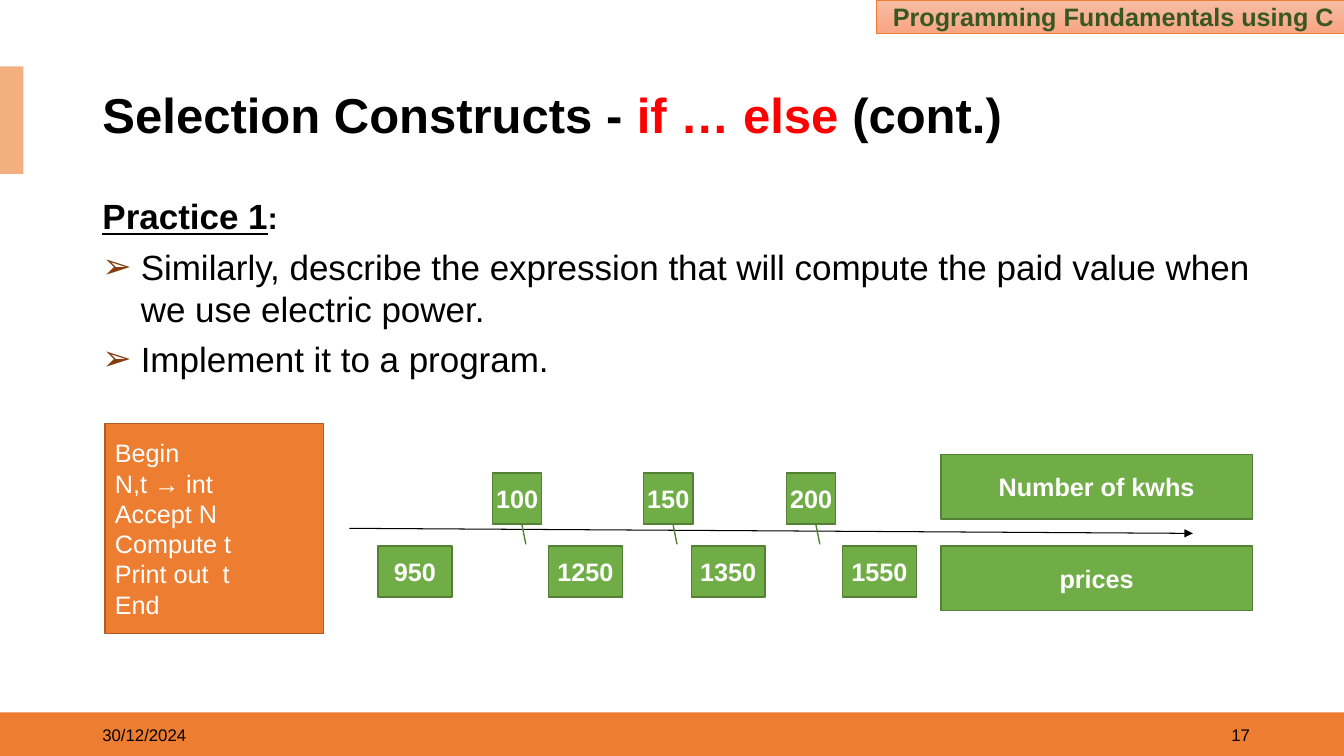
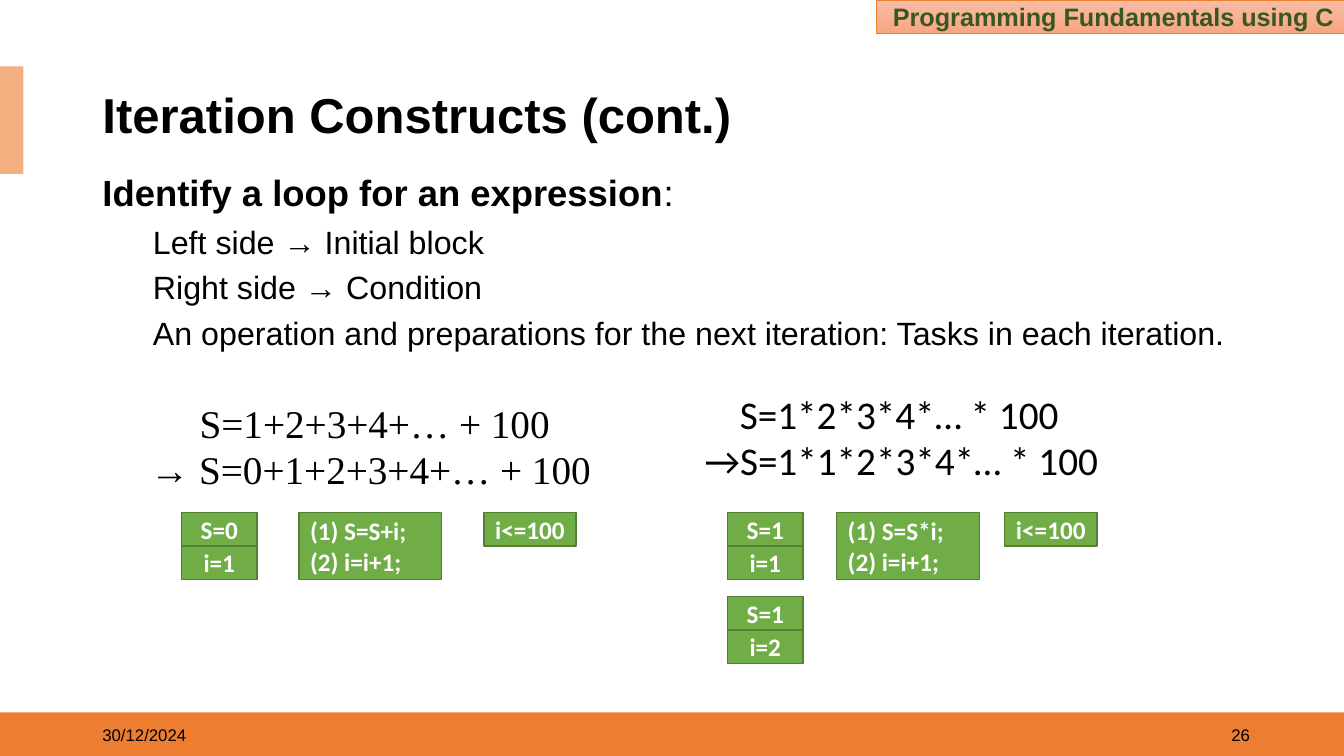
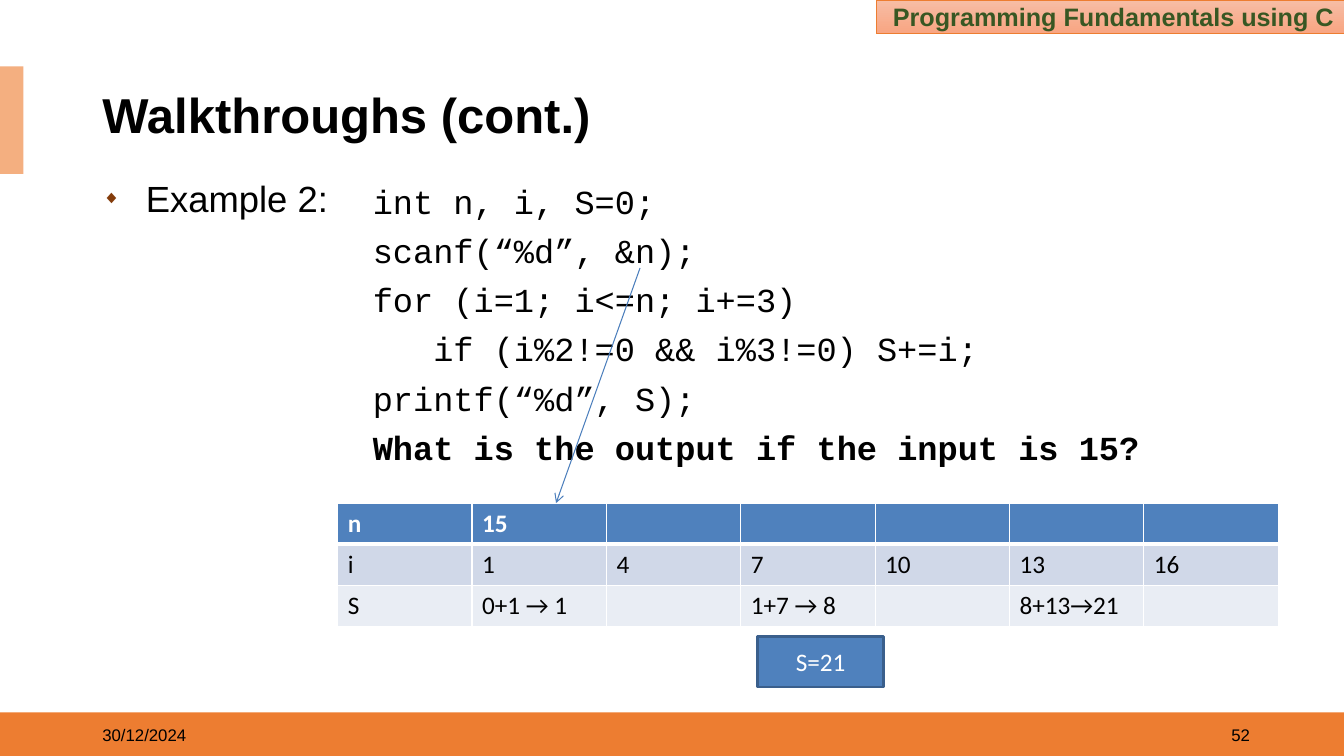
import pptx
import pptx.util
import pptx.dml.color
import pptx.enum.shapes
import pptx.enum.text
import pptx.oxml
import pptx.oxml.ns
from dataclasses import dataclass
from lxml import etree


@dataclass(frozen=True)
class Theme:
    black: str = "000000"
    white: str = "FFFFFF"
    red: str = "FF0000"
    orange: str = "ED7D31"
    rust: str = "AF5C24"
    peach: str = "F4AF80"
    glow: tuple = ("F7BDA5", "F8A582")
    brown: str = "843C0B"
    green: str = "70AD47"
    moss: str = "538035"
    pine: str = "385723"
    blue: str = "4F81BD"
    navy: str = "3A5F8C"
    wire: str = "4B7EBC"
    pale: str = "D0D8E8"
    mist: str = "E9EDF4"
    sans: str = "Arial"
    soft: str = "Calibri"
    mono: str = "Courier New"
    serif: str = "Times New Roman"
    title: int = 35
    head: int = 26
    body: int = 25
    sub: int = 23
    math: int = 28
    code: int = 24
    label: int = 18
    foot: int = 12


T = Theme()
COLS, ROWS = 160, 90
WIDE, HIGH = pptx.util.Inches(13.33), pptx.util.Inches(7.5)
ALIGN = pptx.enum.text.PP_ALIGN
MID = pptx.enum.text.MSO_ANCHOR.MIDDLE
RECT = pptx.enum.shapes.MSO_SHAPE.RECTANGLE

COURSE = "Programming Fundamentals using C"
DATE = "30/12/2024"

POWER = {
    "page": "17",
    "title": [("Selection Constructs - ", {}), ("if … else", {"color": T.red}), (" (cont.)", {})],
    "head": [("Practice 1", {"under": True}), (":", {"size": 22})],
    "list": [
        "Similarly, describe the expression that will compute the paid value when we use electric power.",
        "Implement it to a program.",
    ],
    "steps": ["Begin", "N,t → int", "Accept N", "Compute t", "Print out  t", "End"],
    "limits": [("100", 58.6), ("150", 76.6), ("200", 93.6)],
    "prices": [("950", 45), ("1250", 65.3), ("1350", 82.3), ("1550", 100.3)],
    "labels": [("Number of kwhs", 54.1), ("prices", 65)],
}

LOOPS = {
    "page": "26",
    "title": "Iteration Constructs (cont.)",
    "head": [("Identify a loop for an expression", {"bold": True}), (":", {})],
    "list": [
        "Left side → Initial block",
        "Right side → Condition",
        "An operation and preparations for the next iteration: Tasks in each iteration.",
    ],
    "sums": [
        {"at": (16.7, 48, 56, 12), "font": T.serif, "left": 0.49,
         "math": ("S=1+2+3+4+… + 100", "→ S=0+1+2+3+4+… + 100"),
         "cols": (21.6, 35.6, 57.6), "init": [("S=0", "i=1")],
         "tasks": ["(1) S=S+i;", "(2) i=i+1;"], "test": "i<=100"},
        {"at": (82.7, 47, 50, 12), "font": T.soft, "left": 0.35,
         "math": ("S=1*2*3*4*… * 100", "→S=1*1*2*3*4*… * 100"),
         "cols": (86.6, 99.6, 119.6), "init": [("S=1", "i=1"), ("S=1", "i=2")],
         "tasks": ["(1) S=S*i;", "(2) i=i+1;"], "test": "i<=100"},
    ],
}

TRACE = {
    "page": "52",
    "title": "Walkthroughs (cont.)",
    "head": "Example 2:",
    "code": [
        (0, "int n, i, S=0;"),
        (0, "scanf(“%d”, &n);"),
        (0, "for (i=1; i<=n; i+=3)"),
        (3, "if (i%2!=0 && i%3!=0) S+=i;"),
        (0, "printf(“%d”, S);"),
    ],
    "ask": "What is the output if the input is 15?",
    "rows": [
        ["n", "15", "", "", "", "", ""],
        ["i", "1", "4", "7", "10", "13", "16"],
        ["S", "0+1 → 1", "", "1+7 → 8", "", "8+13→21", ""],
    ],
    "sum": "S=21",
}


def rgb(code):
    return pptx.dml.color.RGBColor.from_string(code)


def grid(*at):
    return [int(n * (HIGH / ROWS if k % 2 else WIDE / COLS)) for k, n in enumerate(at)]


def add(node, tag, **keys):
    kid = etree.SubElement(node, pptx.oxml.ns.qn(tag))
    for key, val in keys.items():
        kid.set(key, str(val))
    return kid


def say(frame, lines, more=False, size=T.label, font=T.sans, color=T.black, bold=False,
        under=False, align=ALIGN.LEFT, space=1.0, before=0, left=0, hang=0, level=0,
        mark=None, scale=100):
    for k, line in enumerate(lines):
        para = frame.add_paragraph() if more or k else frame.paragraphs[0]
        para.alignment, para.level = align, level
        para.line_spacing, para.space_before = space, pptx.util.Pt(before)
        props = para._p.get_or_add_pPr()
        props.set("marL", str(pptx.util.Inches(left)))
        props.set("indent", str(pptx.util.Inches(-hang)))
        if mark:
            add(add(props, "a:buClr"), "a:srgbClr", val=T.brown)
            add(props, "a:buSzPct", val=scale * 1000)
            add(props, "a:buChar", char=mark)
        else:
            add(props, "a:buNone")
        base = {"size": size, "color": color, "bold": bold, "under": under}
        for text, diff in [(line, {})] if isinstance(line, str) else line:
            form = {**base, **diff}
            run = para.add_run()
            run.text = text
            run.font.name, run.font.size = font, pptx.util.Pt(form["size"])
            run.font.bold, run.font.underline = form["bold"], form["under"]
            run.font.color.rgb = rgb(form["color"])


def note(slide, at, lines, anchor=None, **form):
    frame = slide.shapes.add_textbox(*grid(*at)).text_frame
    frame.word_wrap = True
    if anchor:
        frame.vertical_anchor = anchor
    say(frame, lines, **form)
    return frame


def box(slide, at, lines=(), fill=T.green, edge=T.moss, width=1, tight=False, **form):
    shape = slide.shapes.add_shape(RECT, *grid(*at))
    shape.shadow.inherit = False
    shape.fill.solid()
    shape.fill.fore_color.rgb = rgb(fill)
    if edge:
        shape.line.color.rgb = rgb(edge)
        shape.line.width = pptx.util.Pt(width)
    else:
        shape.line.fill.background()
    frame = shape.text_frame
    frame.word_wrap, frame.vertical_anchor = not tight, MID
    if tight:
        frame.margin_left = frame.margin_right = pptx.util.Inches(0.11)
        frame.margin_top = frame.margin_bottom = pptx.util.Inches(0.06)
    say(frame, lines, **{"color": T.white, "align": ALIGN.CENTER, **form})
    return shape


def tag(slide, at, *lines, **form):
    return box(slide, at, lines, tight=True, bold=True, **form)


def link(slide, ends, color, width=0.75, tip=None):
    kind = pptx.enum.shapes.MSO_CONNECTOR.STRAIGHT
    wire = slide.shapes.add_connector(kind, *grid(*ends))
    wire.line.color.rgb = rgb(color)
    wire.line.width = pptx.util.Pt(width)
    props = wire.element.spPr
    if tip:
        add(props.find(pptx.oxml.ns.qn("a:ln")), "a:tailEnd", type=tip)
    add(props, "a:effectLst")


def place(shape, at):
    shape.left, shape.top, shape.width, shape.height = grid(*at)


def dress(slide, layout):
    bar = box(slide, (104.3, 0, 55.7, 4), [COURSE], edge=T.orange, width=0.5,
              color=T.pine, bold=True, align=ALIGN.RIGHT)
    bar.fill.gradient()
    bar.fill.gradient_angle = 270
    for stop, code in zip(bar.fill.gradient_stops, T.glow):
        stop.color.rgb = rgb(code)
    band = box(slide, (0, 84.8, COLS, 5.2), fill=T.orange, edge=None)
    side = box(slide, (0, 7.9, 2.8, 12.8), fill=T.peach, edge=None)
    for part in (bar, side, band):
        layout.shapes._spTree.insert(2, part.element)
    place(layout.placeholders[0], (11, 10.2, 138, 7.6))


def start(deck, data, at):
    layout = deck.slide_layouts[1]
    slide = deck.slides.add_slide(layout)
    if len(deck.slides) == 1:
        dress(slide, layout)
    title, body = slide.shapes.title, slide.placeholders[1]
    place(body, at)
    for hold in (title, body):
        hold.text_frame.auto_size = pptx.enum.text.MSO_AUTO_SIZE.NONE
        hold.text_frame.word_wrap = True
    title.text_frame.vertical_anchor = MID
    say(title.text_frame, [data["title"]], size=T.title, bold=True, space=0.9)
    for x, text, align in ((114, data["page"], ALIGN.RIGHT), (11, DATE, ALIGN.LEFT)):
        note(slide, (x, 85.1, 36, 4.8), [text], anchor=MID, size=T.foot, align=align)
    return slide, body.text_frame


def power(deck, data):
    slide, body = start(deck, data, (11, 22.6, 139, 23.4))
    say(body, [data["head"]], size=T.body, bold=True, before=6)
    say(body, data["list"], more=True, size=T.body, before=6, left=0.38, hang=0.38, mark="➢")
    box(slide, (12.5, 50.4, 26, 25), data["steps"], fill=T.orange, edge=T.rust, align=ALIGN.LEFT)
    link(slide, (41.6, 62.9, 142, 63.5), T.black, tip="triangle")
    for text, x in data["limits"]:
        link(slide, (x + 3.4, 61.8, x + 4, 64.8), T.moss, width=1)
        tag(slide, (x, 56.3, 5.9, 6.1), text)
    for text, x in data["prices"]:
        tag(slide, (x, 65, 8.8, 6.1), text)
    for text, y in data["labels"]:
        tag(slide, (112, y, 37.1, 7.7), text)


def loops(deck, data):
    slide, body = start(deck, data, (11, 20.3, 138, 65.6))
    say(body, [data["head"]], size=T.head, align=ALIGN.JUSTIFY, space=0.9, before=10,
        left=0.43, hang=0.43)
    say(body, data["list"], more=True, size=T.sub, align=ALIGN.JUSTIFY, before=5,
        left=0.75, hang=0.25, level=1)
    for loop in data["sums"]:
        form = {"size": T.math, "font": loop["font"], "space": 0.8, "before": 6}
        first, second = loop["math"]
        frame = note(slide, loop["at"], [first], left=loop["left"], **form)
        say(frame, [second], more=True, left=0.38, hang=0.38, **form)
        init, tasks, test = loop["cols"]
        for k, pair in enumerate(loop["init"]):
            for j, text in enumerate(pair):
                tag(slide, (init, 61 + 10 * k + 4 * j, 9, 4), text, font=T.soft)
        tag(slide, (tasks, 61, 17, 8), *loop["tasks"], font=T.soft, align=ALIGN.LEFT)
        tag(slide, (test, 61, 11, 4), loop["test"], font=T.soft)


def rule(cell, row):
    props = cell._tc.get_or_add_tcPr()
    thick = {"a:lnT": row == 1, "a:lnB": row == 0}
    for side in ("a:lnL", "a:lnR", "a:lnT", "a:lnB"):
        line = add(props, side, w=pptx.util.Pt(3 if thick.get(side) else 1))
        add(add(line, "a:solidFill"), "a:srgbClr", val=T.white)


def trace(deck, data):
    slide, body = start(deck, data, (11, 18.8, 138, 65.6))
    say(body, [data["head"]], size=T.head, align=ALIGN.JUSTIFY, space=1.3, before=10,
        left=0.43, hang=0.43, mark="◆", scale=50)
    form = {"size": T.code, "font": T.mono, "before": 6.4}
    frame = note(slide, (43.2, 20.9, 108, 36), [data["code"][0][1]], **form)
    for depth, text in data["code"][1:]:
        say(frame, [text], more=True, left=depth * 0.2, **form)
    say(frame, [data["ask"]], more=True, bold=True, **form)

    rows = data["rows"]
    table = slide.shapes.add_table(len(rows), len(rows[0]), *grid(40.2, 59.9, 112, 14.7)).table
    for r, (row, fill) in enumerate(zip(rows, (T.blue, T.pale, T.mist))):
        for c, text in enumerate(row):
            cell = table.cell(r, c)
            rule(cell, r)
            cell.fill.solid()
            cell.fill.fore_color.rgb = rgb(fill)
            if text:
                say(cell.text_frame, [text], font=T.soft, bold=r == 0,
                    color=T.black if r else T.white)
    box(slide, (90.2, 75.8, 15, 6), [data["sum"]], fill=T.blue, edge=T.navy, width=2, font=T.soft)
    link(slide, (76.2, 31.9, 66.2, 59.9), T.wire, tip="arrow")


def main():
    deck = pptx.Presentation()
    deck.slide_width, deck.slide_height = WIDE, HIGH
    power(deck, POWER)
    loops(deck, LOOPS)
    trace(deck, TRACE)
    deck.save("out.pptx")


if __name__ == "__main__":
    main()
